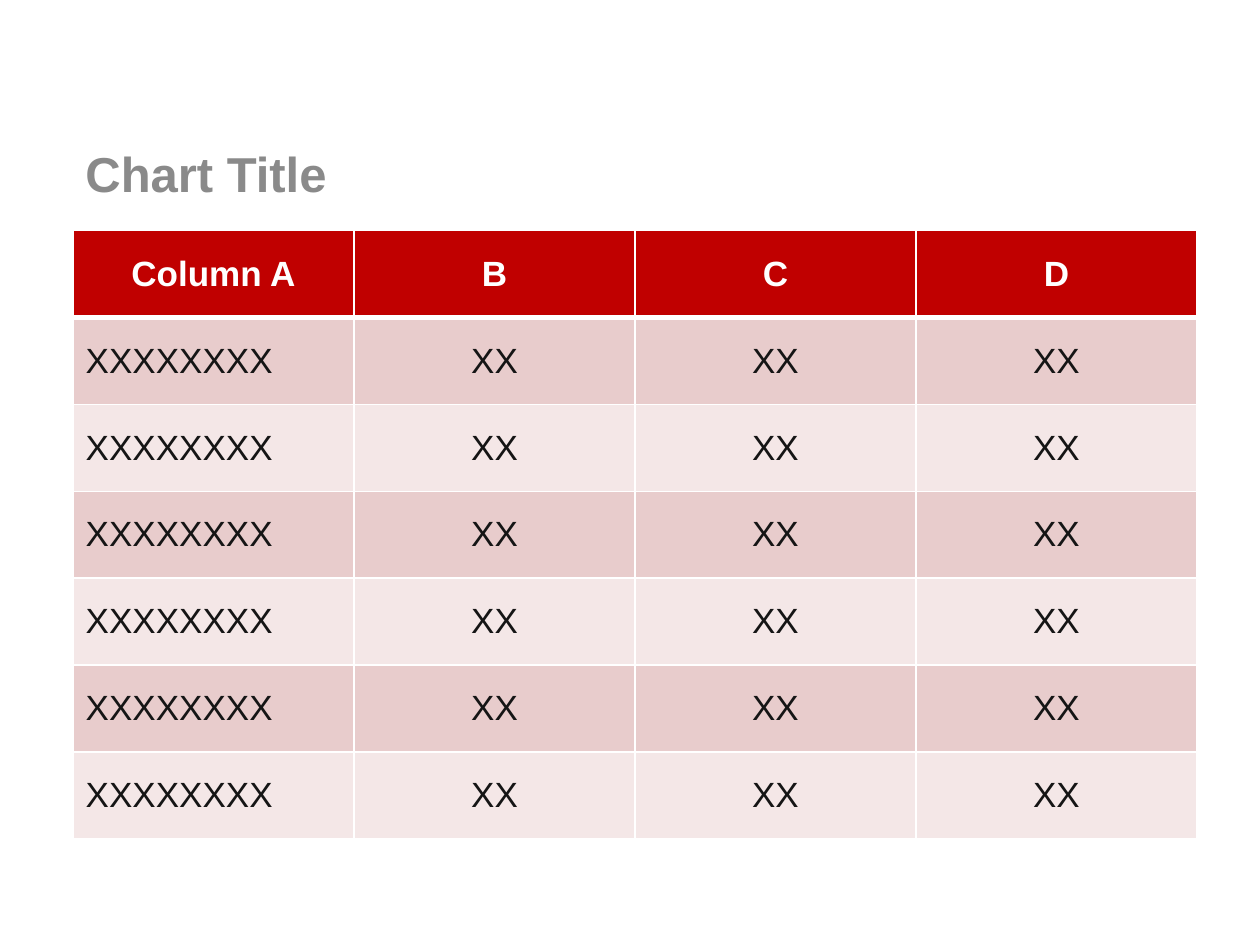
from lxml import etree
from pptx import Presentation
from pptx.dml.color import RGBColor
from pptx.enum.text import MSO_ANCHOR, PP_ALIGN
from pptx.oxml.ns import qn
from pptx.util import Inches, Pt

MIDDLE = MSO_ANCHOR.MIDDLE
LEFT, CENTER = PP_ALIGN.LEFT, PP_ALIGN.CENTER

# Content
TITLE = "Chart Title"
HEADER = ["Column A", "B", "C", "D"]
BODY = [["XXXXXXXX", "XX", "XX", "XX"] for _ in range(6)]

# Style
FONT = "Arial"
TITLE_COLOR, HEADER_TEXT, BODY_TEXT = "8A8A8A", "FFFFFF", "151515"
HEADER_FILL, BAND_FILLS = "C00000", ["E8CCCC", "F4E7E7"]
BORDER_COLOR, THIN, THICK = "FFFFFF", 0.96, 3

# Layout in inches
MARGIN_LEFT, CONTENT_WIDTH = 0.58, 8.92
TITLE_TOP, TITLE_HEIGHT = 1.08, 0.58
TABLE_TOP, ROW_HEIGHT = 1.83, 0.69


def color(hex_string):
    return RGBColor.from_string(hex_string)


def write_text(text_frame, text, size, hex_color, bold, alignment):
    text_frame.text = text
    paragraph = text_frame.paragraphs[0]
    paragraph.alignment = alignment
    font = paragraph.runs[0].font
    font.name, font.size, font.bold = FONT, Pt(size), bold
    font.color.rgb = color(hex_color)


def add_borders(cell, top, bottom):
    properties = cell._tc.get_or_add_tcPr()
    for side, width in (("L", THIN), ("R", THIN), ("T", top), ("B", bottom)):
        line = etree.SubElement(properties, qn(f"a:ln{side}"), w=str(Pt(width)))
        fill = etree.SubElement(line, qn("a:solidFill"))
        etree.SubElement(fill, qn("a:srgbClr"), val=BORDER_COLOR)


def add_title(slide):
    box = slide.shapes.add_textbox(Inches(MARGIN_LEFT), Inches(TITLE_TOP),
                                   Inches(CONTENT_WIDTH), Inches(TITLE_HEIGHT))
    box.text_frame.word_wrap = True
    box.text_frame.vertical_anchor = MIDDLE
    write_text(box.text_frame, TITLE, 28, TITLE_COLOR, True, LEFT)


def add_data_table(slide):
    rows = [HEADER] + BODY
    table = slide.shapes.add_table(
        len(rows), len(HEADER), Inches(MARGIN_LEFT), Inches(TABLE_TOP),
        Inches(CONTENT_WIDTH), Inches(ROW_HEIGHT * len(rows))).table

    for row_index, values in enumerate(rows):
        is_header = row_index == 0
        fill = HEADER_FILL if is_header else BAND_FILLS[(row_index - 1) % 2]
        text_color = HEADER_TEXT if is_header else BODY_TEXT
        top = THICK if row_index == 1 else THIN
        bottom = THICK if is_header else THIN
        for column_index, value in enumerate(values):
            cell = table.cell(row_index, column_index)
            cell.vertical_anchor = MIDDLE
            add_borders(cell, top, bottom)
            cell.fill.solid()
            cell.fill.fore_color.rgb = color(fill)
            alignment = CENTER if is_header or column_index else LEFT
            write_text(cell.text_frame, value, 20, text_color, is_header, alignment)


def main():
    presentation = Presentation()
    presentation.slide_width, presentation.slide_height = Inches(10), Inches(7.5)
    slide = presentation.slides.add_slide(presentation.slide_layouts[6])
    add_title(slide)
    add_data_table(slide)
    presentation.save("out.pptx")


if __name__ == "__main__":
    main()
